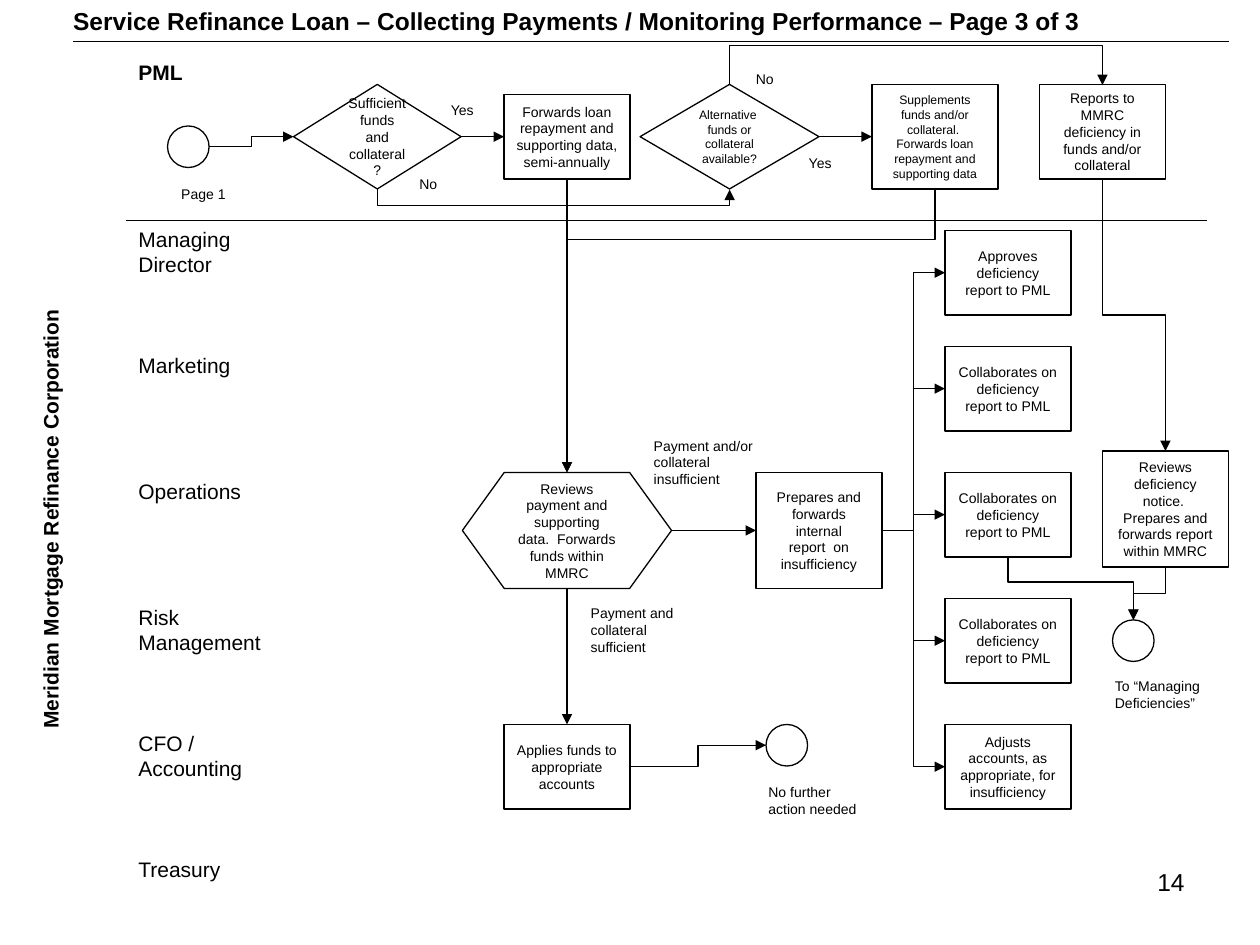
from lxml.etree import SubElement as Sub
from pptx import Presentation
from pptx.dml.color import RGBColor as RGB
from pptx.enum.shapes import MSO_CONNECTOR as Link, MSO_SHAPE as Kind
from pptx.enum.text import MSO_ANCHOR as Anchor, PP_ALIGN as Align
from pptx.oxml.ns import qn
from pptx.util import Inches, Pt

HUES = {"ink": "000000", "paper": "FFFFFF"}
FONT = "Arial"
TITLE = "Service Refinance Loan – Collecting Payments / Monitoring Performance – Page 3 of 3"
OWNER = "Meridian Mortgage Refinance Corporation"
BOX, GEM = Kind.FLOWCHART_PROCESS, Kind.FLOWCHART_DECISION
HEX, DOT = Kind.FLOWCHART_PREPARATION, Kind.FLOWCHART_CONNECTOR
SHARE = "Collaborates on deficiency report to PML"

# name: kind, (left, top, width, height), text, size
STEPS = {
    "start": (DOT, (1.33, 1, 0.33, 0.33), "", 8),
    "enough": (GEM, (2.33, 0.67, 1.33, 0.83), "Sufficient funds and collateral?", 8),
    "forward": (BOX, (4, 0.75, 1, 0.67),
                "Forwards loan repayment and supporting data, semi-annually", 8),
    "other": (GEM, (5.08, 0.67, 1.42, 0.83),
              "Alternative  funds or collateral available?", 7),
    "add": (BOX, (6.92, 0.67, 1, 0.83),
            "Supplements funds and/or collateral.  Forwards loan repayment "
            "and supporting data", 7),
    "report": (BOX, (8.25, 0.67, 1, 0.75),
               "Reports to MMRC deficiency in funds and/or collateral", 8),
    "review": (HEX, (3.67, 3.75, 1.66, 0.92),
               "Reviews payment and supporting data.  Forwards funds within MMRC", 8),
    "prepare": (BOX, (6, 3.75, 1, 0.92),
                "Prepares and forwards internal\nreport  on insufficiency", 8),
    "apply": (BOX, (4, 5.75, 1, 0.67), "Applies funds to appropriate accounts", 8),
    "done": (DOT, (6.08, 5.75, 0.33, 0.33), "", 8),
    "notice": (BOX, (8.75, 3.58, 1, 0.92),
               "Reviews deficiency notice.  Prepares and forwards report within MMRC", 8),
    "end": (DOT, (8.83, 4.92, 0.33, 0.33), "", 8),
}
DESKS = [
    ("director", 1.83, "Approves deficiency report to PML"),
    ("market", 2.75, SHARE),
    ("operate", 3.75, SHARE),
    ("risk", 4.75, SHARE),
    ("account", 5.75, "Adjusts accounts, as appropriate, for insufficiency"),
]
STEPS.update({name: (BOX, (7.5, top, 1, 0.67), text, 8) for name, top, text in DESKS})

# from, side, to, side, distance to the first bend (None is halfway)
FLOWS = [
    ("start", "right", "enough", "left", None),
    ("enough", "right", "forward", "left", None),
    ("enough", "bottom", "other", "bottom", 0.14),
    ("forward", "bottom", "review", "top", None),
    ("other", "right", "add", "left", None),
    ("other", "top", "report", "top", -0.31),
    ("add", "bottom", "review", "top", 0.4),
    ("report", "bottom", "notice", "top", None),
    ("review", "right", "prepare", "left", None),
    ("review", "bottom", "apply", "top", None),
    ("apply", "right", "done", "left", None),
    ("operate", "bottom", "end", "top", 0.2),
    ("notice", "bottom", "end", "top", None),
] + [("prepare", "right", name, "left", None) for name, _, _ in DESKS]

LANES = ["Managing\nDirector", "Marketing", "Operations", "Risk Management",
         "CFO / Accounting", "Treasury"]
NOTES = [
    ("Page 1", (1.34, 1.42, 0.7, 0.24)),
    ("Yes", (3.48, 0.76, 0.45, 0.24)),
    ("No", (3.23, 1.34, 0.4, 0.24)),
    ("No", (5.9, 0.51, 0.4, 0.24)),
    ("Yes", (6.32, 1.18, 0.45, 0.24)),
    ("Payment and/or\ncollateral\ninsufficient", (5.09, 3.42, 1.1, 0.5)),
    ("Payment and\ncollateral\nsufficient", (4.59, 4.75, 1, 0.5)),
    ("No further\naction needed", (6, 6.17, 1, 0.37)),
    ("To “Managing\nDeficiencies”", (8.75, 5.33, 1, 0.37)),
]
RULES = [(0.58, 0.33, 9.75), (1, 1.75, 9.58)]
SIDES = {"top": (0.5, 0), "left": (0, 0.5), "bottom": (0.5, 1), "right": (1, 0.5)}


def hue(name):
    return RGB.from_string(HUES[name])


def write(shape, text, size, bold=False, align=Align.LEFT, anchor=Anchor.TOP):
    frame = shape.text_frame
    frame.text = text
    frame.word_wrap, frame.vertical_anchor = True, anchor
    for para in frame.paragraphs:
        para.alignment = align
        for run in para.runs:
            font = run.font
            font.name, font.size, font.bold = FONT, Pt(size), bold
            font.color.rgb = hue("ink")


def label(slide, area, text, size, **style):
    box = slide.shapes.add_textbox(*map(Inches, area))
    write(box, text, size, **style)
    return box


def wire(slide, kind, *ends):
    line = slide.shapes.add_connector(kind, *map(Inches, ends))
    line.line.color.rgb, line.line.width = hue("ink"), Pt(0.75)
    Sub(line._element.spPr, qn("a:effectLst"))
    return line


def step(slide, kind, area, text, size):
    shape = slide.shapes.add_shape(kind, *map(Inches, area))
    shape.shadow.inherit = False
    shape.fill.solid()
    shape.fill.fore_color.rgb = hue("paper")
    shape.line.color.rgb, shape.line.width = hue("ink"), Pt(0.75)
    if text:
        write(shape, text, size, align=Align.CENTER, anchor=Anchor.MIDDLE)
    return shape


def port(name, side):
    """Return the point on a step's side and its connection site number."""
    kind, (left, top, wide, high) = STEPS[name][:2]
    fx, fy = SIDES[side]
    site = list(SIDES).index(side) * (2 if kind == DOT else 1)
    return left + fx * wide, top + fy * high, site


def flow(slide, made, start, out, end, into, bend):
    x1, y1, site1 = port(start, out)
    x2, y2, site2 = port(end, into)
    dx, dy = x2 - x1, y2 - y1
    turn = 0
    if out in ("left", "right"):
        kind = Link.STRAIGHT if abs(dy) < 0.02 else Link.ELBOW
        line = wire(slide, kind, x1, y1, x2, y2)
    elif abs(dx) < 0.02:
        line = wire(slide, Link.STRAIGHT, x1, y1, x2, y2)
    else:
        # An elbow leaves sideways, so one that leaves vertically is turned.
        dy = max(dy, 0.01)
        mx, my = (x1 + x2) / 2, (y1 + y2) / 2
        half = dy / 2 if dx > 0 else -dy / 2
        turn = 270 if dx > 0 else 90
        line = wire(slide, Link.ELBOW, mx + half, my - abs(dx) / 2,
                    mx - half, my + abs(dx) / 2)
    props = line._element.spPr
    if turn:
        props.find(qn("a:xfrm")).set("rot", str(turn * 60000))
    if bend is not None:
        guides = props.find(qn("a:prstGeom")).find(qn("a:avLst"))
        Sub(guides, qn("a:gd"), name="adj1", fmla=f"val {round(bend / dy * 100000)}")
    Sub(props.find(qn("a:ln")), qn("a:tailEnd"), type="triangle")
    glue = line._element.nvCxnSpPr.cNvCxnSpPr
    for tag, name, site in (("a:stCxn", start, site1), ("a:endCxn", end, site2)):
        Sub(glue, qn(tag), id=str(made[name].shape_id), idx=str(site))


def main():
    deck = Presentation()
    deck.slide_width, deck.slide_height = Inches(10), Inches(7.5)
    slide = deck.slides.add_slide(deck.slide_layouts[5])
    title = slide.shapes.title
    title.left, title.top, title.width, title.height = map(Inches, (0.48, 0, 9.27, 0.34))
    write(title, TITLE, 14, bold=True)

    for left, y, right in RULES:
        wire(slide, Link.STRAIGHT, left, y, right, y)
    label(slide, (1, 0.42, 0.7, 0.3), "PML", 12, bold=True)
    for i, lane in enumerate(LANES):
        label(slide, (1, 1.75 + i, 1.25, 0.5), lane, 12)
    owner = label(slide, (-1.37, 3.96, 3.54, 0.3), OWNER, 12, bold=True)
    owner.rotation = 270

    made = {name: step(slide, *data) for name, data in STEPS.items()}
    for data in FLOWS:
        flow(slide, made, *data)
    for text, area in NOTES:
        label(slide, area, text, 8)
    label(slide, (7.17, 6.83, 2.33, 0.52), "14", 14, align=Align.RIGHT)
    deck.save("out.pptx")


if __name__ == "__main__":
    main()
